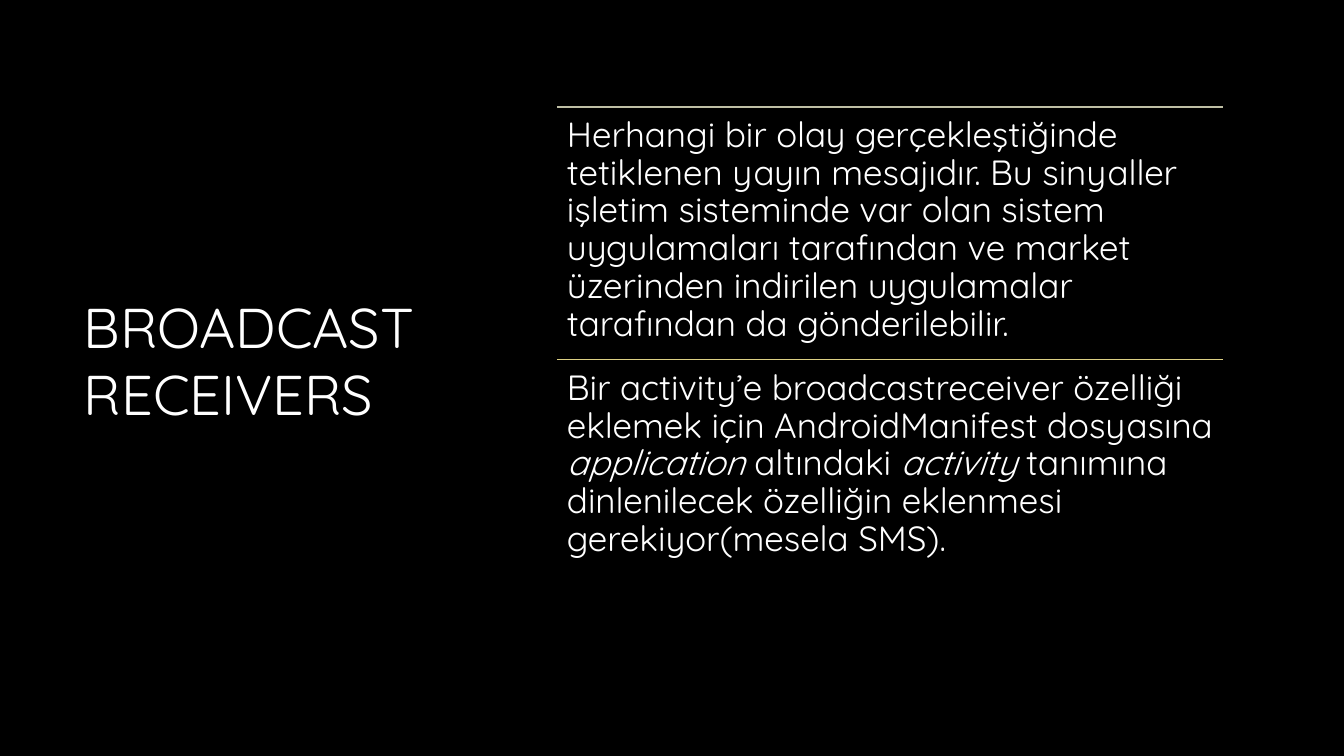
from dataclasses import dataclass

from lxml import etree
from pptx import Presentation
from pptx.dml.color import RGBColor
from pptx.enum import shapes, text
from pptx.oxml import ns
from pptx.util import Emu, Pt

SLIDE_W, SLIDE_H = 1344, 756


@dataclass(frozen=True)
class Theme:
    """Colours, font and type sizes of the slide."""
    background: str = "000000"
    ink: str = "FFFFFF"
    title_fade: str = "A6A6A6"
    rules: tuple = ("BFBFA5", "DCD084")
    font: str = "Quicksand"
    title_size: int = 40
    body_size: int = 25
    rule_width: float = 0.75


THEME = Theme()

TITLE = "BROADCAST RECEIVERS"
STATEMENTS = [
    [("Herhangi bir olay gerçekleştiğinde tetiklenen yayın mesajıdır. "
      "Bu sinyaller işletim sisteminde var olan sistem uygulamaları "
      "tarafından ve market üzerinden indirilen uygulamalar tarafından "
      "da gönderilebilir.", False)],
    [("Bir activity’e broadcastreceiver özelliği eklemek için "
      "AndroidManifest dosyasına ", False),
     ("application", True),
     (" altındaki ", False),
     ("activity", True),
     (" tanımına dinlenilecek özelliğin eklenmesi gerekiyor(mesela SMS).", False)],
]


def px(n):
    """Turn slide pixels into EMU."""
    return Emu(round(n * 914400 / 100.8))


def set_all(target, values):
    """Set every attribute named in a dict of format values."""
    for name, value in values.items():
        setattr(target, name, value)


def add_text(slide, box, frame):
    """Add a wrapping text box and return its first paragraph."""
    tf = slide.shapes.add_textbox(*map(px, box)).text_frame
    set_all(tf, {"word_wrap": True, **frame})
    return tf.paragraphs[0]


def add_title(slide, box):
    """Place the vertically centred title with its fading fill."""
    p = add_text(slide, box, {"vertical_anchor": text.MSO_ANCHOR.MIDDLE})
    r = p.add_run()
    r.text = TITLE
    set_all(r.font, {"name": THEME.font, "size": Pt(THEME.title_size)})
    fill = r.font.fill
    fill.gradient()
    fill.gradient_angle = 267
    for stop, color in zip(fill.gradient_stops, (THEME.ink, THEME.title_fade)):
        stop.color.rgb = RGBColor.from_string(color)


def add_rule(slide, x, y, width, color):
    """Draw a thin horizontal rule."""
    sp = slide.shapes.add_connector(
        shapes.MSO_CONNECTOR.STRAIGHT, px(x), px(y), px(x + width), px(y))
    sp.line.color.rgb = RGBColor.from_string(color)
    sp.line.width = Pt(THEME.rule_width)
    etree.SubElement(sp._element.spPr, ns.qn("a:effectLst"))


def add_statement(slide, box, runs):
    """Place one statement made of plain and italic runs."""
    inset = px(10)
    p = add_text(slide, box, {"margin_top": inset, "margin_bottom": inset,
                              "margin_left": inset, "margin_right": inset})
    p.line_spacing = 0.9
    for words, italic in runs:
        r = p.add_run()
        r.text = words
        set_all(r.font, {"name": THEME.font, "size": Pt(THEME.body_size),
                         "italic": italic})
        r.font.color.rgb = RGBColor.from_string(THEME.ink)


def add_statements(slide, box):
    """Stack the statements in equal rows, each under its own rule."""
    x, y, w, h = box
    row = h // len(STATEMENTS)
    for i, (runs, color) in enumerate(zip(STATEMENTS, THEME.rules)):
        top = y + i * row
        add_rule(slide, x, top, w, color)
        add_statement(slide, (x, top, w, row), runs)


def main():
    """Build the slide and save it."""
    prs = Presentation()
    set_all(prs, {"slide_width": px(SLIDE_W), "slide_height": px(SLIDE_H)})
    slide = prs.slides.add_slide(prs.slide_layouts[6])
    slide.background.fill.solid()
    slide.background.fill.fore_color.rgb = RGBColor.from_string(THEME.background)
    add_title(slide, (74, 157, 357, 405))
    add_statements(slide, (557, 107, 666, 507))
    prs.save("out.pptx")


if __name__ == "__main__":
    main()
